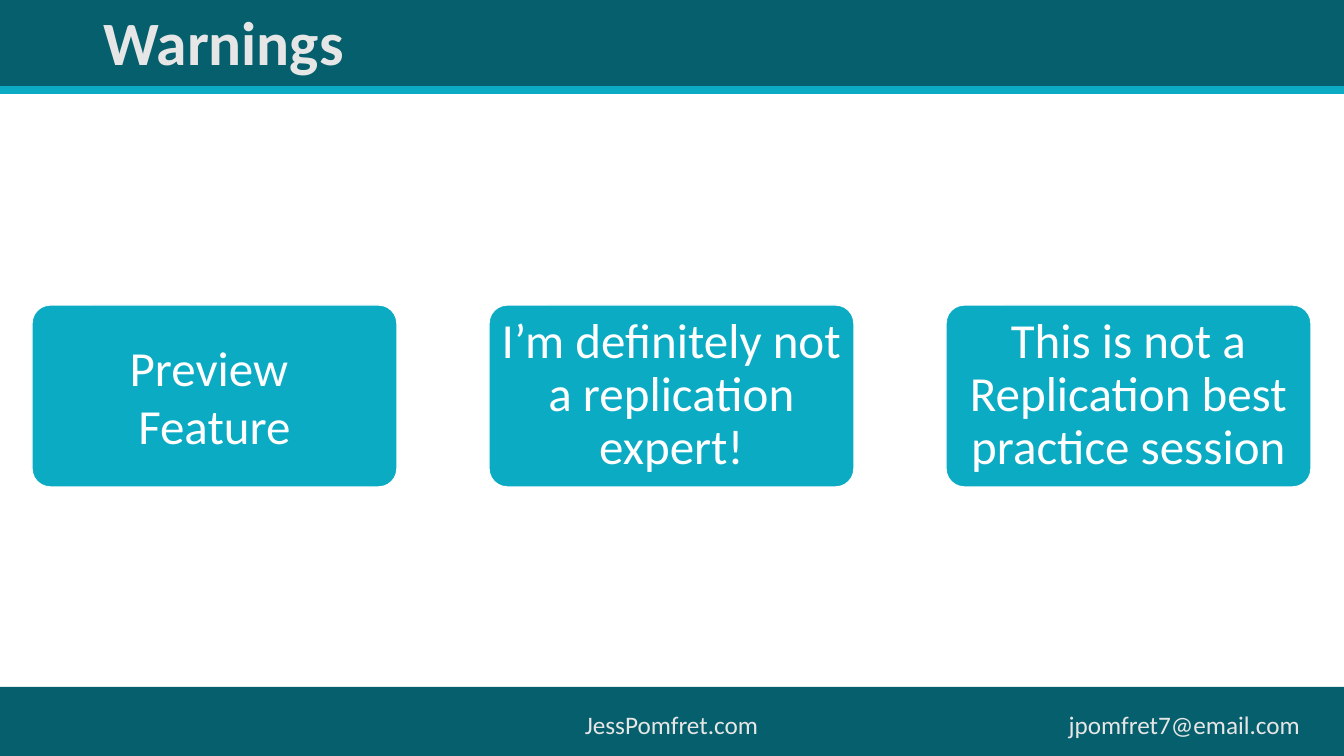
"""Build the Warnings slide with its header, footer and three cards."""
from dataclasses import dataclass

from lxml.etree import SubElement as Sub
from pptx import Presentation
from pptx.dml.color import RGBColor as Rgb
from pptx.enum.shapes import MSO_CONNECTOR as Link, MSO_SHAPE as Kind
from pptx.enum.text import MSO_ANCHOR as Anchor, MSO_AUTO_SIZE as Fit, PP_ALIGN as Align
from pptx.oxml.ns import qn
from pptx.util import Pt

SCALE = 914400 / 100.8


def px(n):
    return round(n * SCALE)


@dataclass(frozen=True)
class Theme:
    font: str = "Calibri"
    dark: str = "065F6D"
    teal: str = "0BABC4"
    pale: str = "E7E6E6"
    white: str = "FFFFFF"
    head: int = 44
    body: int = 35
    foot: int = 18


def apply(item, form):
    for key, value in form.items():
        setattr(item, key, value)


class Deck:
    def __init__(self, theme, wide, high):
        self.theme = theme
        self.file = Presentation()
        apply(self.file, {"slide_width": px(wide), "slide_height": px(high)})
        self.slide = self.file.slides.add_slide(self.file.slide_layouts[5])
        self.shapes = self.slide.shapes

    def fill_text(self, shape, lines, size, color, align, bold=False, gap=None, **frame):
        text = shape.text_frame
        apply(text, {"word_wrap": True, "auto_size": Fit.NONE, **frame})
        text.text = "\n".join(lines)
        for para in text.paragraphs:
            apply(para, {"alignment": align, "line_spacing": gap})
            apply(para.font, {"name": self.theme.font, "size": Pt(size), "bold": bold})
            para.font.color.rgb = Rgb.from_string(color)

    def shape(self, kind, box, fill, edge=None):
        shape = self.shapes.add_shape(kind, *map(px, box))
        shape.shadow.inherit = False
        shape.fill.solid()
        shape.fill.fore_color.rgb = Rgb.from_string(fill)
        if edge:
            shape.line.color.rgb = Rgb.from_string(edge)
            shape.line.width = Pt(1)
        else:
            shape.line.fill.background()
        return shape

    def rule(self, ends, color, width):
        line = self.shapes.add_connector(Link.STRAIGHT, *map(px, ends))
        line.line.color.rgb = Rgb.from_string(color)
        line.line.width = Pt(width)
        Sub(line._element.spPr, qn("a:effectLst"))

    def title(self, box, words):
        title = self.shapes.title
        apply(title, dict(zip(("left", "top", "width", "height"), map(px, box))))
        self.fill_text(title, [words], self.theme.head, self.theme.pale, Align.LEFT,
                       bold=True, gap=0.9, vertical_anchor=Anchor.MIDDLE)
        title._element.getparent().append(title._element)

    def label(self, box, words, align):
        label = self.shapes.add_textbox(*map(px, box))
        self.fill_text(label, [words], self.theme.foot, self.theme.pale, align)

    def card(self, box, lines, gap):
        card = self.shape(Kind.ROUNDED_RECTANGLE, box, self.theme.teal, self.theme.white)
        card.adjustments[0] = 0.1
        side, edge = px(6), px(5)
        self.fill_text(card, lines, self.theme.body, self.theme.white, Align.CENTER, gap=gap,
                       vertical_anchor=Anchor.MIDDLE, margin_left=side, margin_right=side,
                       margin_top=edge, margin_bottom=edge)


theme = Theme()
deck = Deck(theme, 1344, 756)
for top, high in ((0, 91), (687, 69)):
    deck.shape(Kind.RECTANGLE, (0, top, 1344, high), theme.dark)
deck.label((569, 704, 205, 40), "JessPomfret.com", Align.CENTER)
deck.label((970, 704, 340, 40), "jpomfret7@email.com", Align.RIGHT)
deck.rule((0, 90, 1344, 90), theme.teal, 6)
deck.title((93, 0, 1159, 91), "Warnings")

cards = (
    (["Preview ", "Feature"], None),
    (["I’m definitely not a replication expert!"], 0.9),
    (["This is not a Replication best practice session"], 0.9),
)
for i, (lines, gap) in enumerate(cards):
    deck.card((32 + i * 457, 305, 365, 182), lines, gap)

deck.file.save("out.pptx")
